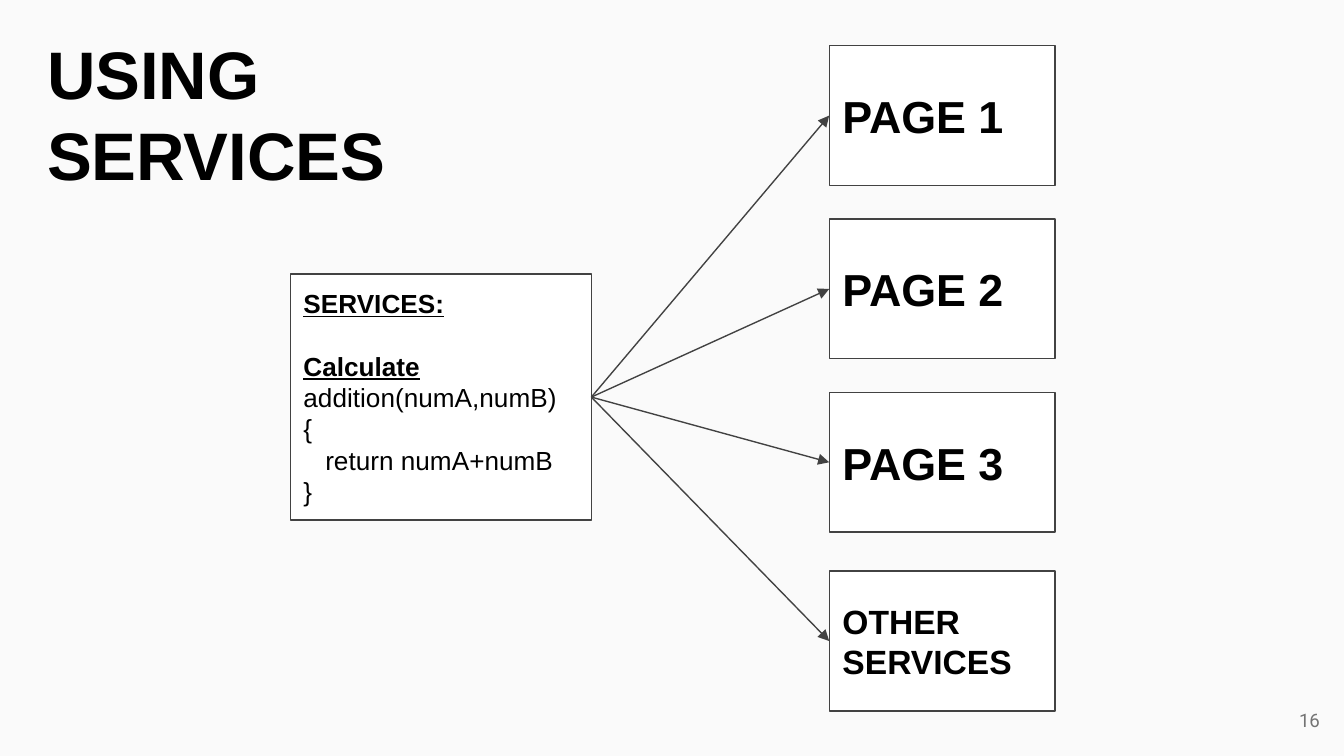
from lxml import etree
from pptx import Presentation
from pptx.dml.color import RGBColor
from pptx.enum import shapes, text
from pptx.oxml.ns import qn
from pptx.util import Inches, Pt

COLOURS = {"back": "FAFAFA", "box": "FFFFFF", "line": "424242",
           "ink": "000000", "number": "737373"}
LEFT_SIDE, RIGHT_SIDE = 1, 3  # connection sites of a rectangle

# Column of target boxes
COLUMN_LEFT, COLUMN_TOP, ROW_PITCH = 6.17, 0.34, 1.29
BOX_WIDTH, BOX_HEIGHT = 1.68, 1.04
OTHER_TOP = 4.25

HEADING = {"size": Pt(14), "bold": True, "underline": True}
CODE = {"size": Pt(14), "bold": False, "underline": False}
SERVICE_LINES = [
    ("SERVICES:", HEADING, {}),
    ("Calculate", HEADING, {"space_before": Pt(16.8)}),
    ("addition(numA,numB)", CODE, {}),
    ("{", CODE, {}),
    ("return numA+numB", CODE, {"indent": Pt(11.7)}),
    ("}", CODE, {}),
]


def colour(name):
    return RGBColor.from_string(COLOURS[name])


def apply(target, values):
    for name, value in values.items():
        setattr(target, name, value)


def write(shape, lines, anchor=text.MSO_ANCHOR.MIDDLE,
          align=text.PP_ALIGN.LEFT, ink="ink", font="Arial"):
    """Fill a shape with lines of (wording, font values, paragraph values)."""
    frame = shape.text_frame
    margins = dict.fromkeys(
        ("margin_left", "margin_top", "margin_right", "margin_bottom"), Inches(0.1))
    apply(frame, {"word_wrap": True, "auto_size": text.MSO_AUTO_SIZE.NONE,
                  "vertical_anchor": anchor, **margins})
    for index, (wording, font_values, para_values) in enumerate(lines):
        para = frame.add_paragraph() if index else frame.paragraphs[0]
        layout = {"alignment": align, "line_spacing": 1.0,
                  "space_before": Pt(0), **para_values}
        indent = layout.pop("indent", None)
        apply(para, layout)
        if indent:
            para._p.get_or_add_pPr().set("marL", str(int(indent)))
        span = para.add_run()
        span.text = wording
        apply(span.font, {"name": font, **font_values})
        span.font.color.rgb = colour(ink)


def add_box(page, left, top, width, height, lines):
    box = page.shapes.add_shape(shapes.MSO_SHAPE.RECTANGLE, Inches(left),
                                Inches(top), Inches(width), Inches(height))
    box.shadow.inherit = False
    box.fill.solid()
    box.fill.fore_color.rgb = colour("box")
    box.line.color.rgb = colour("line")
    box.line.width = Pt(0.75)
    write(box, lines)
    return box


def add_arrow(page, source, target):
    arrow = page.shapes.add_connector(shapes.MSO_CONNECTOR.STRAIGHT, 0, 0, 0, 0)
    arrow.begin_connect(source, RIGHT_SIDE)
    arrow.end_connect(target, LEFT_SIDE)
    arrow.line.color.rgb = colour("line")
    arrow.line.width = Pt(0.75)
    etree.SubElement(arrow.line._get_or_add_ln(), qn("a:tailEnd"), type="triangle")
    etree.SubElement(arrow._element.spPr, qn("a:effectLst"))


def add_title(page, wording):
    title = page.shapes.title
    apply(title, {"left": Inches(0.25), "top": Inches(0.14),
                  "width": Inches(4.14), "height": Inches(1.49)})
    write(title, [(wording, {"size": Pt(36), "bold": True}, {})],
          anchor=text.MSO_ANCHOR.TOP)


def add_page_number(page, number):
    box = page.shapes.add_textbox(Inches(9.32), Inches(5.14),
                                  Inches(0.6), Inches(0.43))
    write(box, [(number, {"size": Pt(10)}, {})],
          align=text.PP_ALIGN.RIGHT, ink="number", font="Roboto")


def main():
    deck = Presentation()
    deck.slide_width = Inches(10)
    deck.slide_height = deck.slide_width * 9 // 16
    page = deck.slides.add_slide(deck.slide_layouts[5])
    page.background.fill.solid()
    page.background.fill.fore_color.rgb = colour("back")

    # Service box and the boxes that use it
    service = add_box(page, 2.16, 2.04, 2.24, 1.83, SERVICE_LINES)
    targets = [(f"PAGE {row + 1}", 24, COLUMN_TOP + row * ROW_PITCH)
               for row in range(3)]
    targets.append(("OTHER SERVICES", 18, OTHER_TOP))
    boxes = [add_box(page, COLUMN_LEFT, top, BOX_WIDTH, BOX_HEIGHT,
                     [(label, {"size": Pt(size), "bold": True}, {})])
             for label, size, top in targets]

    # Arrows from the service to each box
    for box in boxes:
        add_arrow(page, service, box)

    # Title and page number
    add_title(page, "USING SERVICES")
    add_page_number(page, "16")
    deck.save("out.pptx")


if __name__ == "__main__":
    main()
